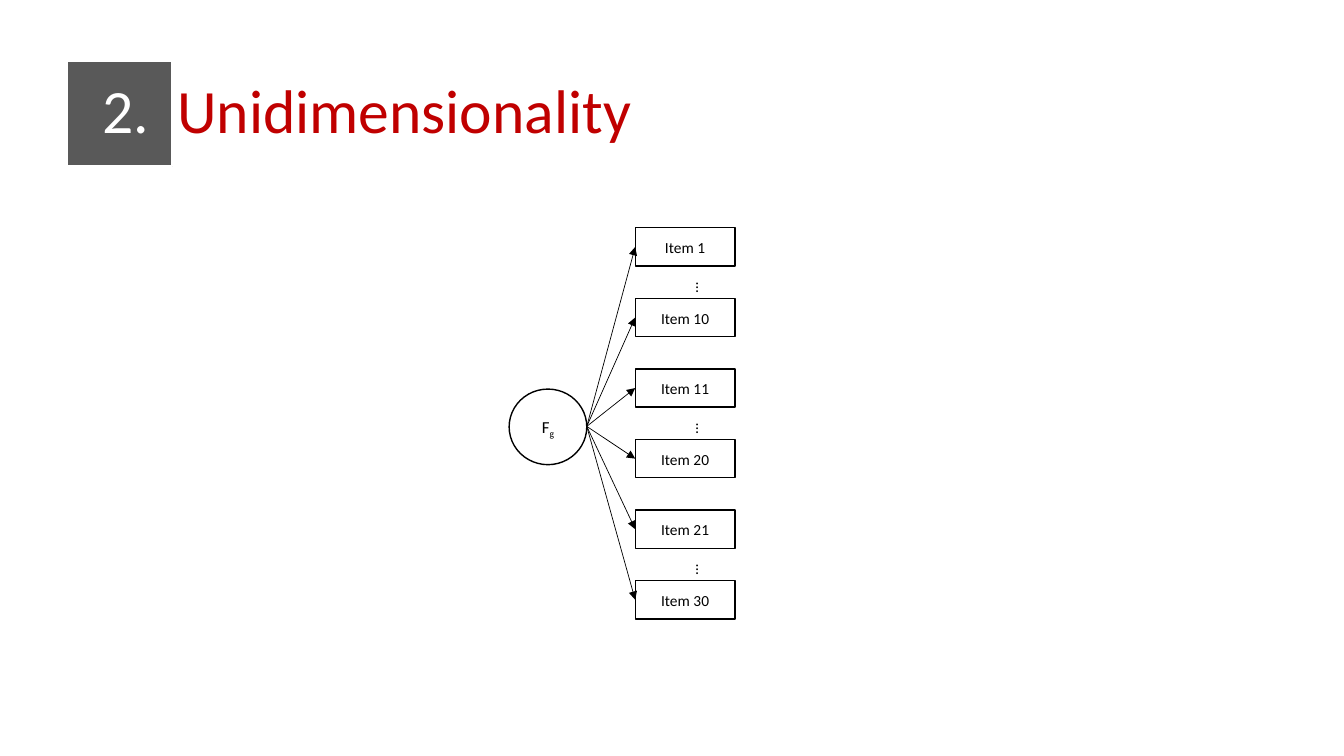
from lxml.etree import SubElement as Sub
from pptx import Presentation
from pptx.dml.color import RGBColor as RGB
from pptx.enum.shapes import MSO_CONNECTOR as LINE, MSO_SHAPE as SHAPE
from pptx.enum.text import MSO_ANCHOR as ANCHOR, PP_ALIGN as ALIGN
from pptx.oxml.ns import qn
from pptx.util import Emu, Pt

PX = 9144  # 100 px to the inch
COLORS = {"white": "FFFFFF", "black": "000000", "gray": "595959", "red": "C00000"}


class Page:
    def __init__(self, deck):
        self.font = "Calibri"
        self.shapes = deck.slides.add_slide(deck.slide_layouts[6]).shapes

    def color(self, name):
        return RGB.from_string(COLORS[name])

    def px(self, *nums):
        return [Emu(n * PX) for n in nums]

    def style(self, run, size, color="black"):
        run.font.name = self.font
        run.font.size = Pt(size)
        run.font.color.rgb = self.color(color)

    def box(self, kind, area, fill="white", line=None, width=1):
        shape = self.shapes.add_shape(kind, *self.px(*area))
        shape.shadow.inherit = False
        shape.fill.solid()
        shape.fill.fore_color.rgb = self.color(fill)
        if line:
            shape.line.color.rgb = self.color(line)
            shape.line.width = Pt(width)
        else:
            shape.line.fill.background()
        return shape

    def label(self, shape, text, size=11, align=ALIGN.CENTER):
        para = shape.text_frame.paragraphs[0]
        para.text = text
        para.alignment = align
        para.line_spacing = 1.07
        para.space_after = Pt(8)
        self.style(para.runs[0], size)
        return para

    def dots(self, area):
        """Add an ellipsis that runs downwards."""
        shape = self.box(SHAPE.RECTANGLE, area)
        self.label(shape, "…", align=ALIGN.LEFT)
        shape.text_frame.vertical_anchor = ANCHOR.TOP
        shape.text_frame._txBody.bodyPr.set("vert", "eaVert")

    def factor(self, area, name, sub):
        """Add a circle whose name carries a subscript."""
        shape = self.box(SHAPE.OVAL, area, line="black")
        run = self.label(shape, name, 12).add_run()
        run.text = sub
        self.style(run, 12)
        run._r.get_or_add_rPr().set("baseline", "-25000")

    def arrow(self, start, item):
        line = self.shapes.add_connector(LINE.STRAIGHT, *self.px(*start, *start))
        line.end_connect(item, 1)
        line.line.color.rgb = self.color("black")
        line.line.width = Pt(0.5)
        Sub(line.line._get_or_add_ln(), qn("a:tailEnd"), type="triangle")
        Sub(line._element.spPr, qn("a:effectLst"))

    def title(self, area, number, text, tab):
        frame = self.shapes.add_textbox(*self.px(*area)).text_frame
        frame.word_wrap = True
        frame.vertical_anchor = ANCHOR.MIDDLE
        para = frame.paragraphs[0]
        para.line_spacing = 0.9
        for part, color in ((number + "\t", "white"), (text, "red")):
            run = para.add_run()
            run.text = part
            self.style(run, 44, color)
        tabs = Sub(para._p.get_or_add_pPr(), qn("a:tabLst"))
        Sub(tabs, qn("a:tab"), pos=str(tab * PX), algn="l")


def main():
    deck = Presentation()
    deck.slide_width, deck.slide_height = Emu(1333 * PX), Emu(750 * PX)
    page = Page(deck)
    page.box(SHAPE.RECTANGLE, (66, 60, 105, 105), "gray", "white", 1.5)
    page.title((92, 40, 1150, 145), "2.", "Unidimensionality", 74)

    items = []
    for row, num in enumerate((1, 10, 11, 20, 21, 30)):
        top = 226 + 70 * row
        item = page.box(SHAPE.RECTANGLE, (630, top, 99, 38), line="black")
        page.label(item, f"Item {num}")
        items.append(item)
        if row % 2 == 0:
            page.dots((660, top + 44, 52, 22))

    page.factor((505, 386, 77, 75), "F", "g")
    for item in items:
        page.arrow((582, 423), item)
    deck.save("out.pptx")


if __name__ == "__main__":
    main()
